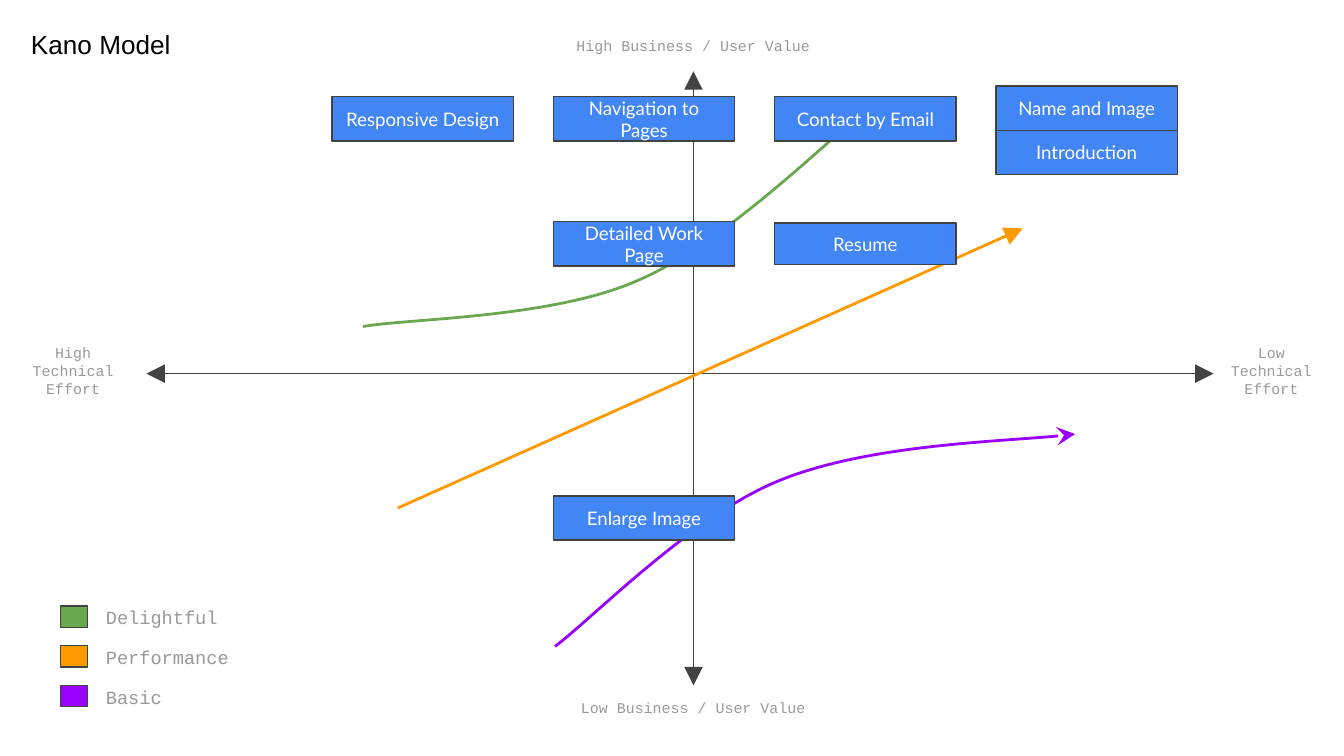
from lxml import etree
from pptx import Presentation
from pptx import util as u
from pptx.dml.color import RGBColor
from pptx.enum import shapes, text
from pptx.oxml.ns import qn

BLUE = RGBColor(0x42, 0x85, 0xF4)
DARK = RGBColor(0x42, 0x42, 0x42)
GREY = RGBColor(0x99, 0x99, 0x99)
GREEN = RGBColor(0x6A, 0xA8, 0x4F)
ORANGE = RGBColor(0xFF, 0x99, 0x00)
PURPLE = RGBColor(0x99, 0x00, 0xFF)
WHITE = RGBColor(0xFF, 0xFF, 0xFF)
BLACK = RGBColor(0, 0, 0)
LEFT, MID = text.PP_ALIGN.LEFT, text.PP_ALIGN.CENTER
TOP, CENTRE = text.MSO_ANCHOR.TOP, text.MSO_ANCHOR.MIDDLE


def inch(*nums):
    return [u.Inches(n) for n in nums]


def write(shape, words, size, font, color, align=MID, anchor=CENTRE):
    frame = shape.text_frame
    frame.word_wrap = True
    frame.auto_size = text.MSO_AUTO_SIZE.NONE
    frame.vertical_anchor = anchor
    frame.margin_left = frame.margin_right = u.Inches(0.1)
    frame.margin_top = frame.margin_bottom = u.Inches(0.1)
    frame.text = words
    para = frame.paragraphs[0]
    para.alignment = align
    para.font.size, para.font.name = u.Pt(size), font
    para.font.color.rgb = color


def label(slide, box, words, size=8, align=MID, anchor=TOP):
    write(slide.shapes.add_textbox(*inch(*box)), words, size, "Courier New", GREY, align, anchor)


def block(slide, box, fill):
    rect = slide.shapes.add_shape(shapes.MSO_SHAPE.RECTANGLE, *inch(*box))
    rect.shadow.inherit = False
    rect.fill.solid()
    rect.fill.fore_color.rgb = fill
    rect.line.color.rgb, rect.line.width = DARK, u.Pt(0.75)
    return rect


def stroke(shape, color, width, **ends):
    """Style a line; ends maps headEnd / tailEnd to an arrow type."""
    shape.line.color.rgb, shape.line.width = color, u.Pt(width)
    ln = shape.line._get_or_add_ln()
    for end in sorted(ends):
        etree.SubElement(ln, qn("a:" + end), type=ends[end], w="lg", len="lg")


def arrow(slide, start, stop, color, width, **ends):
    line = slide.shapes.add_connector(shapes.MSO_CONNECTOR.STRAIGHT, *inch(*start, *stop))
    stroke(line, color, width, **ends)
    etree.SubElement(line._element.spPr, qn("a:effectLst"))


def curve(slide, left, top, points, color):
    """Draw Bezier segments through points given relative to left, top."""
    spots = [inch(left + x, top + y) for x, y in points]
    pen = slide.shapes.build_freeform(*spots[0])
    pen.add_line_segments(spots[1:], close=False)
    shape = pen.convert_to_shape()
    # Merge each three line steps into one cubic step
    steps = list(shape._element.iter(qn("a:lnTo")))
    for i in range(0, len(steps), 3):
        cubic = etree.Element(qn("a:cubicBezTo"))
        steps[i].addprevious(cubic)
        for step in steps[i:i + 3]:
            cubic.append(step[0])
            step.getparent().remove(step)
    shape.shadow.inherit = False
    shape.fill.background()
    stroke(shape, color, 1.5, tailEnd="stealth")


def head(slide, left, top, wide, high):
    title = slide.shapes.title
    title.left, title.top, title.width, title.height = inch(left, top, wide, high)
    write(title, "Kano Model", 14, "Arial", BLACK, LEFT, TOP)


def axes(slide, left, top, wide, high):
    x, y = left + 4.07, top + 2.25
    both = {"headEnd": "triangle", "tailEnd": "triangle"}
    arrow(slide, (x, top), (x, top + high), DARK, 0.75, **both)
    arrow(slide, (left + wide, y), (left, y), DARK, 0.75, **both)
    # Axis names
    label(slide, (x - 0.98, top - 0.36, 1.96, 0.36), "High Business / User Value")
    label(slide, (x - 0.98, top + high, 1.96, 0.36), "Low Business / User Value")
    label(slide, (left - 1.06, y - 0.2, 1.03, 0.36), "High Technical Effort", anchor=CENTRE)
    label(slide, (left + wide, y - 0.2, 0.86, 0.36), "Low Technical Effort", anchor=CENTRE)


def trends(slide, left, top):
    curve(slide, left, top, [(0.1, 1.71), (0.44, 1.65), (1.5, 1.65), (2.14, 1.37),
                             (2.77, 1.1), (3.62, 0.26), (3.92, 0.04)], GREEN)
    curve(slide, left, top, [(1.53, 4.09), (1.81, 3.88), (2.55, 3.12), (3.19, 2.86),
                             (3.84, 2.59), (5.03, 2.56), (5.4, 2.51)], PURPLE)
    arrow(slide, (left + 0.36, top + 3.06), (left + 5.01, top + 0.98),
          ORANGE, 1.5, tailEnd="triangle")


def legend(slide, left, top, high):
    keys = [("Delightful", GREEN), ("Performance", ORANGE), ("Basic", PURPLE)]
    step = (high - 0.16) / (len(keys) - 1)
    for i, (name, color) in enumerate(keys):
        y = top + i * step
        block(slide, (left, y, 0.2, 0.16), color)
        label(slide, (left + 0.24, y - 0.1, 1.96, 0.36), name, 10, LEFT)


def cards(slide, left, top, wide):
    """Place feature cards as (column, drop, height, name)."""
    items = [
        (0, 0.08, 0.33, "Responsive Design"),
        (1, 0.08, 0.33, "Navigation to Pages"),
        (3, 0, 0.33, "Name and Image"),
        (3, 0.33, 0.33, "Introduction"),
        (2, 0.08, 0.33, "Contact by Email"),
        (2, 1.02, 0.31, "Resume"),
        (1, 1.01, 0.33, "Detailed Work Page"),
        (1, 3.05, 0.33, "Enlarge Image"),
    ]
    step = (wide - 1.35) / 3
    for col, drop, high, name in items:
        card = block(slide, (left + col * step, top + drop, 1.35, high), BLUE)
        write(card, name, 10, "Lato", WHITE)


def main():
    deck = Presentation()
    # Widescreen, 16:9
    deck.slide_width = u.Inches(10)
    deck.slide_height = u.Inches(10 * 9 / 16)
    slide = deck.slides.add_slide(deck.slide_layouts[5])
    head(slide, 0.13, 0.11, 1.56, 0.31)
    axes(slide, 1.09, 0.53, 7.94, 4.57)
    trends(slide, 2.6, 0.72)
    legend(slide, 0.45, 4.51, 0.75)
    cards(slide, 2.47, 0.64, 6.29)
    deck.save("out.pptx")


if __name__ == "__main__":
    main()
